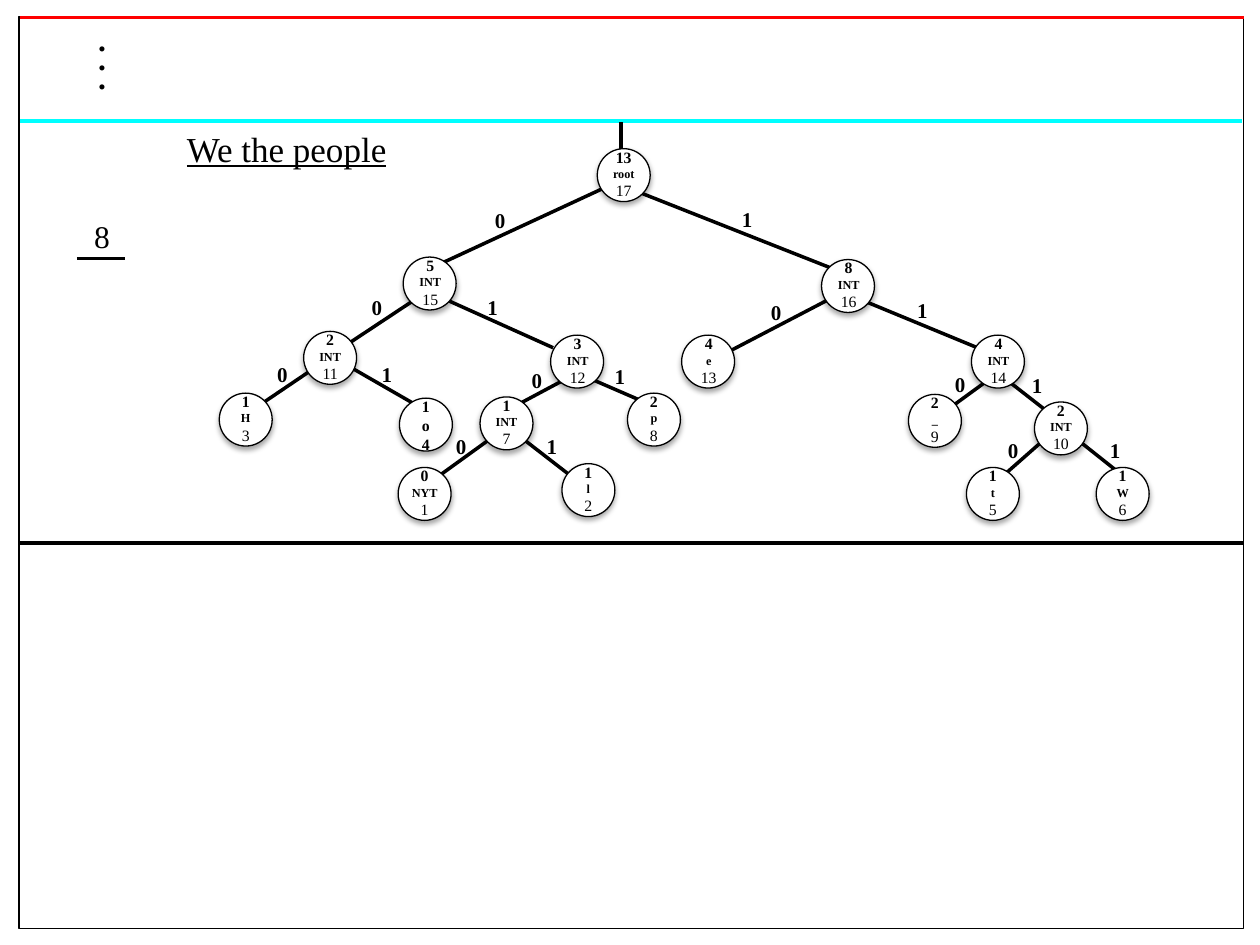
from collections import namedtuple
from dataclasses import dataclass

from lxml import etree
from pptx import Presentation
from pptx.dml.color import RGBColor
from pptx.enum.shapes import MSO_CONNECTOR, MSO_SHAPE
from pptx.enum.text import PP_ALIGN
from pptx.oxml.ns import qn
from pptx.util import Inches, Pt

STRAIGHT = MSO_CONNECTOR.STRAIGHT
OVAL, RECTANGLE = MSO_SHAPE.OVAL, MSO_SHAPE.RECTANGLE
CENTER, LEFT = PP_ALIGN.CENTER, PP_ALIGN.LEFT

# The page is a grid of 1000 columns by 750 rows; all places count its cells.
COLUMNS, ROWS = 1000, 750
CELL = Inches(10) // COLUMNS
NODE_SIZE = 42
LABEL_RISE, LABEL_HEIGHT = 6, 52
BIT_WIDTH, BIT_HEIGHT = 39, 30


@dataclass(frozen=True)
class Theme:
    """Colours, font, type sizes and line widths of the page."""
    font: str = "Times New Roman"
    ink: str = "000000"
    paper: str = "FFFFFF"
    top_rule: str = "FF0000"
    title_rule: str = "00FFFF"
    title: int = 20
    step: int = 18
    bit: int = 12
    count: int = 9
    symbol: int = 7
    thick: float = 2
    thin: float = 0.75


THEME = Theme()
Span = namedtuple("Span", "text size bold underline", defaults=(False, False))
Node = namedtuple("Node", "left top weight symbol number label_width",
                  defaults=(NODE_SIZE,))
Edge = namedtuple("Edge", "start end bit bit_left bit_top")

NODES = [
    Node(474, 118, "13", "root", "17"),
    Node(320, 204, "5", "INT", "15", 169),
    Node(652, 206, "8", "INT", "16", 169),
    Node(241, 263, "2", "INT", "11"),
    Node(437, 266, "3", "INT", "12", 207),
    Node(541, 266, "4", "e", "13", 207),
    Node(771, 266, "4", "INT", "14", 207),
    Node(174, 312, "1", "H", "3"),
    Node(317, 316, "1", "o", "4"),
    Node(381, 315, "1", "INT", "7"),
    Node(498, 312, "2", "p", "8"),
    Node(721, 313, "2", "_", "9"),
    Node(821, 319, "2", "INT", "10"),
    Node(316, 371, "0", "NYT", "1"),
    Node(446, 368, "1", "l", "2"),
    Node(767, 371, "1", "t", "5"),
    Node(870, 371, "1", "W", "6"),
]

EDGES = [
    Edge((346, 211), (482, 148), "0", 383, 160),
    Edge((678, 220), (488, 145), "1", 579, 159),
    Edge((261, 283), (332, 236), "0", 285, 229),
    Edge((439, 276), (350, 236), "1", 377, 229),
    Edge((567, 285), (661, 236), "0", 602, 233),
    Edge((783, 279), (674, 234), "1", 718, 231),
    Edge((198, 327), (269, 279), "0", 210, 282),
    Edge((253, 277), (333, 323), "1", 293, 282),
    Edge((400, 327), (458, 296), "0", 412, 287),
    Edge((458, 296), (525, 325), "1", 478, 284),
    Edge((744, 331), (792, 296), "0", 748, 290),
    Edge((792, 296), (833, 328), "1", 809, 291),
    Edge((330, 391), (402, 339), "0", 352, 339),
    Edge((403, 339), (465, 387), "1", 424, 339),
    Edge((790, 383), (849, 331), "0", 790, 342),
    Edge((840, 337), (898, 383), "1", 871, 342),
]


def cells(*counts):
    """Turn grid cells into slide lengths."""
    return [count * CELL for count in counts]


def add_line(page, start, end, color=THEME.ink):
    """Draw a thick straight line without a shadow."""
    line = page.shapes.add_connector(STRAIGHT, *cells(*start, *end))
    line.line.color.rgb = RGBColor.from_string(color)
    line.line.width = Pt(THEME.thick)
    etree.SubElement(line._element.spPr, qn("a:effectLst"))


def add_outline(page, kind, place, fill=None):
    """Draw a thin-lined preset shape, hollow unless a fill is given."""
    shape = page.shapes.add_shape(kind, *cells(*place))
    shape.shadow.inherit = False
    if fill:
        shape.fill.solid()
        shape.fill.fore_color.rgb = RGBColor.from_string(fill)
    else:
        shape.fill.background()
    shape.line.color.rgb = RGBColor.from_string(THEME.ink)
    shape.line.width = Pt(THEME.thin)
    return shape


def add_soft_shadow(shape):
    """Give a shape a faint shadow that falls straight down."""
    effects = shape._element.spPr.find(qn("a:effectLst"))
    shadow = etree.SubElement(effects, qn("a:outerShdw"), blurRad=str(Pt(3.1)),
                              dist=str(Pt(1.8)), dir="5400000", rotWithShape="0")
    color = etree.SubElement(shadow, qn("a:srgbClr"), val=THEME.ink)
    etree.SubElement(color, qn("a:alpha"), val="35000")


def add_text(page, place, spans, align=CENTER, spacing=None, side_margin=10):
    """Write each span as a paragraph of its own in a text box."""
    box = page.shapes.add_textbox(*cells(*place))
    frame = box.text_frame
    frame.word_wrap = True
    frame.margin_left = frame.margin_right = side_margin * CELL
    for index, span in enumerate(spans):
        para = frame.add_paragraph() if index else frame.paragraphs[0]
        para.alignment = align
        if spacing:
            para.line_spacing = spacing
        run = para.add_run()
        run.text = span.text
        run.font.name = THEME.font
        run.font.size = Pt(span.size)
        run.font.bold = span.bold
        run.font.underline = span.underline
        run.font.color.rgb = RGBColor.from_string(THEME.ink)


def add_node(page, node):
    """Draw a tree node: a circle with weight, symbol and number."""
    circle = add_outline(page, OVAL, (node.left, node.top, NODE_SIZE, NODE_SIZE),
                         THEME.paper)
    add_soft_shadow(circle)
    newest = node.symbol == "o"
    spans = [Span(node.weight, THEME.count, True),
             Span(node.symbol, THEME.count if newest else THEME.symbol, True),
             Span(node.number, THEME.count, newest)]
    label_left = node.left - (node.label_width - NODE_SIZE) // 2
    place = (label_left, node.top - LABEL_RISE, node.label_width, LABEL_HEIGHT)
    add_text(page, place, spans, side_margin=0)


def add_page_frame(page):
    """Draw the frame, the rules, the title and the step number."""
    add_outline(page, RECTANGLE, (15, 13, 972, 724))
    add_line(page, (16, 14), (987, 14), THEME.top_rule)
    add_text(page, (53, 24, 56, 58), [Span(".", THEME.step, True)] * 3, spacing=0.5)
    add_line(page, (16, 96), (986, 96), THEME.title_rule)
    add_text(page, (18, 96, 419, 44),
             [Span("We the people", THEME.title, underline=True)])
    add_text(page, (44, 167, 74, 40), [Span("8", THEME.step)])
    add_line(page, (61, 205), (99, 205))
    add_line(page, (16, 431), (987, 431))


def add_tree(page):
    """Draw the edges, then the nodes over them, then the bits."""
    add_line(page, (493, 138), (493, 97))
    for edge in EDGES:
        add_line(page, edge.start, edge.end)
    for node in NODES:
        add_node(page, node)
    for edge in EDGES:
        add_text(page, (edge.bit_left, edge.bit_top, BIT_WIDTH, BIT_HEIGHT),
                 [Span(edge.bit, THEME.bit, True)], LEFT)


def main():
    """Build the page and save the deck."""
    deck = Presentation()
    deck.slide_width, deck.slide_height = cells(COLUMNS, ROWS)
    page = deck.slides.add_slide(deck.slide_layouts[6])
    add_page_frame(page)
    add_tree(page)
    deck.save("out.pptx")


main()
